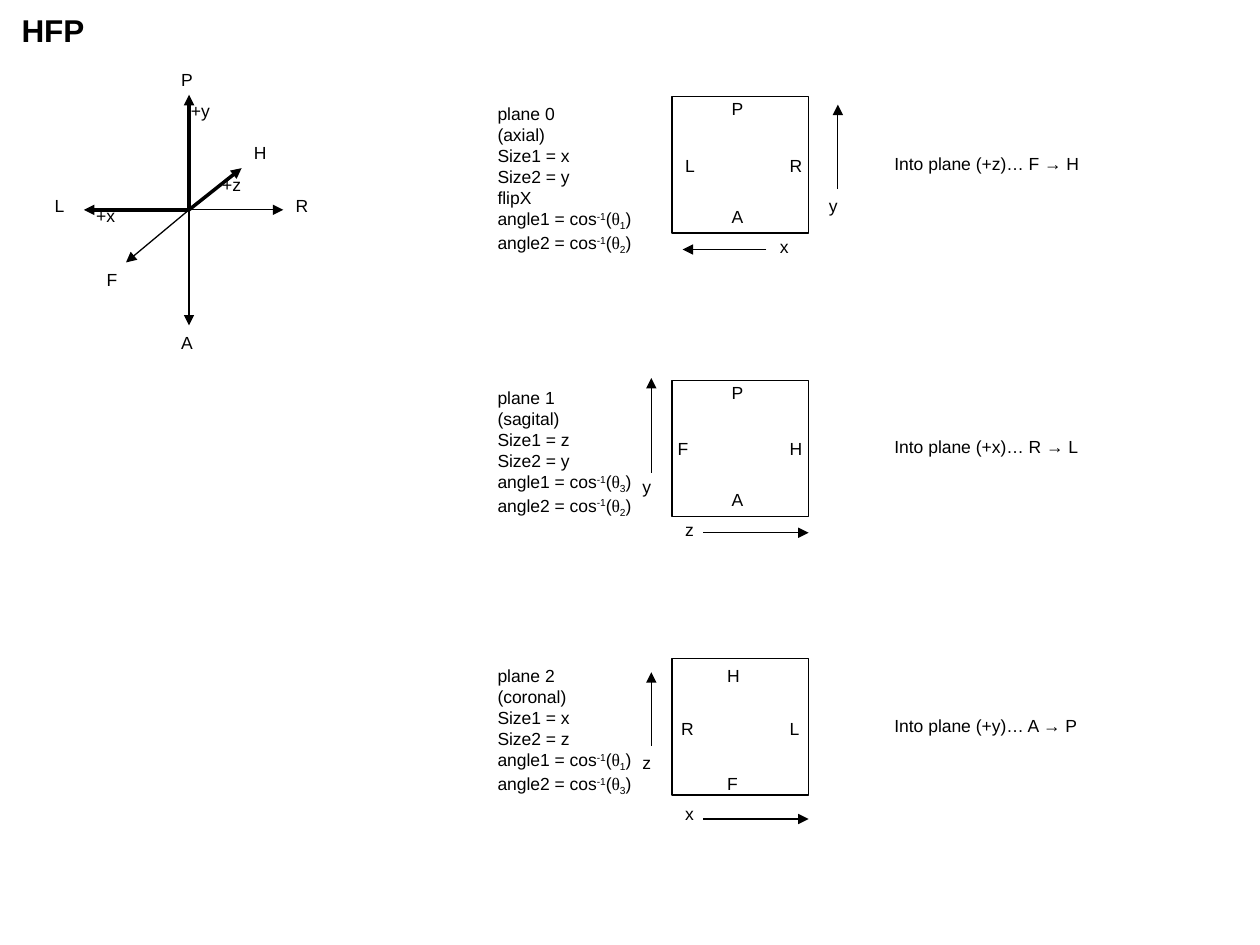
from lxml import etree
from pptx import Presentation
from pptx import util as u
from pptx.dml.color import RGBColor
from pptx.enum import shapes, text
from pptx.oxml import ns

BLACK = RGBColor(0x00, 0x00, 0x00)
WHITE = RGBColor(0xFF, 0xFF, 0xFF)
THIN, THICK = 0.75, 2
LABEL_HEIGHT = 0.68
LABEL_WIDTHS = {"P": 0.74, "A": 0.74, "H": 0.76, "R": 0.76, "F": 0.71, "L": 0.69,
                "x": 0.69, "y": 0.69, "z": 0.69, "+x": 0.89, "+y": 0.89, "+z": 0.89}
FRAME_FORMAT = {"word_wrap": False, "auto_size": text.MSO_AUTO_SIZE.SHAPE_TO_FIT_TEXT,
                "vertical_anchor": text.MSO_ANCHOR.TOP}
TITLE_FORMAT = {"name": "Arial", "size": u.Pt(18), "bold": True}

presentation = Presentation()
presentation.slide_width, presentation.slide_height = u.Cm(25.4), u.Cm(19.05)
slide = presentation.slides.add_slide(presentation.slide_layouts[5])


def add_arrow(start, end, weight=THIN):
    points = [u.Cm(value) for value in (*start, *end)]
    arrow = slide.shapes.add_connector(shapes.MSO_CONNECTOR.STRAIGHT, *points)
    arrow.line.color.rgb = BLACK
    arrow.line.width = u.Pt(weight)
    etree.SubElement(arrow.line._get_or_add_ln(), ns.qn("a:tailEnd"), type="triangle")
    etree.SubElement(arrow._element.spPr, ns.qn("a:effectLst"))


def add_text(left, top, width, height, lines):
    """Each line is a list of (words, font name, baseline in percent) runs."""
    box = slide.shapes.add_textbox(*[u.Cm(value) for value in (left, top, width, height)])
    frame = box.text_frame
    for name, value in FRAME_FORMAT.items():
        setattr(frame, name, value)
    for number, line in enumerate(lines):
        paragraph = frame.add_paragraph() if number else frame.paragraphs[0]
        for words, font_name, baseline in line:
            run = paragraph.add_run()
            run.text = words
            run.font.name = font_name
            run.font.size = u.Pt(10)
            run.font.color.rgb = BLACK
            if baseline:
                run._r.get_or_add_rPr().set("baseline", str(baseline * 1000))


# Title
title = slide.shapes.title
title.left, title.top, title.width, title.height = [u.Cm(v) for v in (0.18, 0.1, 1.78, 1.02)]
title.text_frame.text = "HFP"
for name, value in FRAME_FORMAT.items():
    setattr(title.text_frame, name, value)
title_paragraph = title.text_frame.paragraphs[0]
title_paragraph.alignment = text.PP_ALIGN.LEFT
title_font = title_paragraph.runs[0].font
for name, value in TITLE_FORMAT.items():
    setattr(title_font, name, value)
title_font.color.rgb = BLACK

# Patient axes, all from one origin
origin = (3.81, 4.23)
axes = [((3.81, 6.56), THIN), ((3.81, 1.91), THICK), ((1.69, 4.23), THICK),
        ((5.71, 4.23), THIN), ((2.54, 5.29), THIN), ((4.87, 3.39), THICK)]
for end, weight in axes:
    add_arrow(origin, end, weight)

labels = [("P", 3.4, 1.27), ("L", 0.85, 3.81), ("H", 4.87, 2.74), ("R", 5.71, 3.81),
          ("A", 3.4, 6.56), ("F", 1.9, 5.29),
          ("+x", 1.69, 4.01), ("+z", 4.23, 3.39), ("+y", 3.6, 1.9)]

# Scan planes: top, description, theta indices, direction, arrows, labels
planes = [
    (1.95, ["plane 0", "(axial)", "Size1 = x", "Size2 = y", "flipX"], "12",
     "Into plane (+z)… F → H",
     [((16.89, 3.81), (16.89, 2.11)), ((15.45, 5.03), (13.76, 5.03))],
     [("x", 15.47, 4.63), ("y", 16.46, 3.81), ("P", 14.5, 1.86),
      ("L", 13.56, 3.0), ("A", 14.5, 4.02), ("R", 15.67, 3.0)]),
    (7.67, ["plane 1", "(sagital)", "Size1 = z", "Size2 = y"], "32",
     "Into plane (+x)… R → L",
     [((13.13, 9.53), (13.13, 7.62)), ((14.18, 10.74), (16.3, 10.74))],
     [("z", 13.56, 10.34), ("y", 12.7, 9.48), ("P", 14.5, 7.57),
      ("F", 13.41, 8.71), ("A", 14.5, 9.73), ("H", 15.67, 8.71)]),
    (13.28, ["plane 2", "(coronal)", "Size1 = x", "Size2 = z"], "13",
     "Into plane (+y)… A → P",
     [((13.13, 15.03), (13.13, 13.55)), ((14.18, 16.51), (16.3, 16.51))],
     [("x", 13.56, 16.06), ("z", 12.7, 15.03), ("H", 14.41, 13.28),
      ("R", 13.48, 14.34), ("F", 14.41, 15.45), ("L", 15.67, 14.34)]),
]
for top, description, thetas, direction, arrows, plane_labels in planes:
    square = slide.shapes.add_shape(shapes.MSO_SHAPE.RECTANGLE, u.Cm(13.55), u.Cm(top),
                                    u.Cm(2.75), u.Cm(2.75))
    square.shadow.inherit = False
    square.fill.solid()
    square.fill.fore_color.rgb = WHITE
    square.line.color.rgb = BLACK
    square.line.width = u.Pt(THIN)

    lines = [[(words, "Arial", 0)] for words in description]
    for number, theta in enumerate(thetas, 1):
        lines.append([(f"angle{number} = cos", "Arial", 0), ("-1", "Arial", 30),
                      ("(", "Arial", 0), ("θ", "Times New Roman", 0),
                      (theta, "Arial", -25), (")", "Arial", 0)])
    add_text(9.78, top, 3.2, 0.35 + 0.43 * len(lines), lines)

    for start, end in arrows:
        add_arrow(start, end)
    add_text(17.78, top + 1, 4.22, LABEL_HEIGHT, [[(direction, "Arial", 0)]])
    labels += plane_labels

for letter, left, top in labels:
    add_text(left, top, LABEL_WIDTHS[letter], LABEL_HEIGHT, [[(letter, "Arial", 0)]])

presentation.save("out.pptx")
